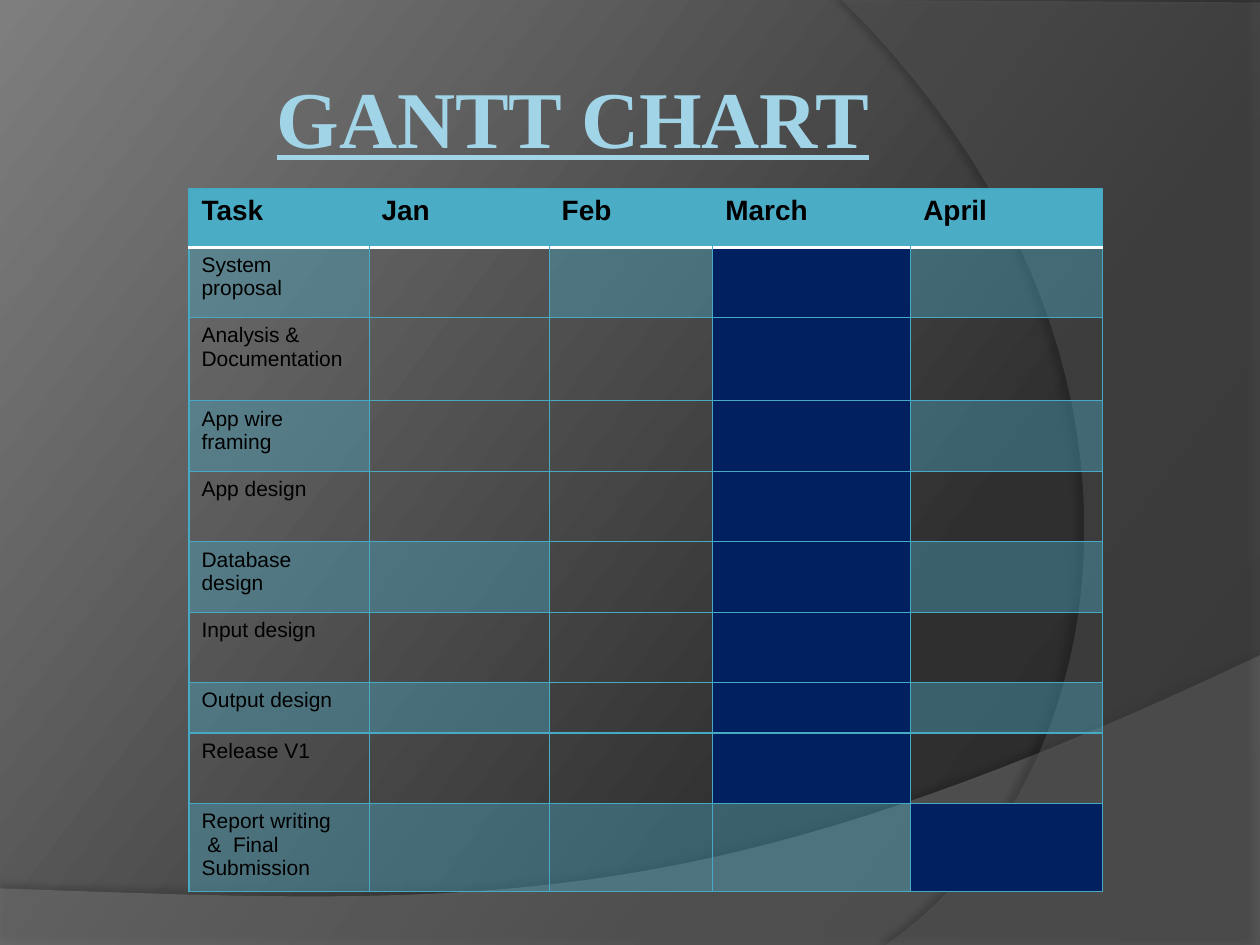
import dataclasses
import typing

import lxml.etree
import pptx
import pptx.dml.color
import pptx.enum.text
import pptx.oxml
import pptx.oxml.ns
import pptx.util

Cm, Pt = pptx.util.Cm, pptx.util.Pt
qn = pptx.oxml.ns.qn
Point = tuple[float, float]


@dataclasses.dataclass(frozen=True)
class Theme:
    accent: str = "4BACC6"
    grid: str = "46AAC5"
    bar: str = "002060"
    ink: str = "000000"
    rule: str = "FFFFFF"
    title_line: str = "5DD4FF"
    backdrop: tuple = ((0, "282828"), (30, "2F2F2F"), (100, "7E7E7E"))
    title_fill: tuple = ((0, "A1D4E7"), (9, "A1D4E7"), (53, "58808D"),
                         (90, "A1D4E7"), (100, "A1D4E7"))
    tint_alpha: int = 40
    title_size: float = 46
    head_size: float = 16
    body_size: float = 12
    title_font: str = "Times New Roman"
    body_font: str = "Arial"


@dataclasses.dataclass(frozen=True)
class Swoosh:
    """Background outline: straight corners, then one Bezier curve back to the start."""
    corners: tuple[Point, ...]
    curve: tuple[Point, Point, Point]
    color: str
    alpha: int
    shadow_alpha: int
    shadow_dist: float
    shadow_dir: int


@dataclasses.dataclass(frozen=True)
class Task:
    name: str
    bar: str = "March"
    clear: tuple[str, ...] = ()
    height: float = 1.42


THEME = Theme()
HEADS = ("Task", "Jan", "Feb", "March", "April")
COL_WIDTHS = (3.63, 3.63, 3.3, 3.99, 3.86)
HEAD_HEIGHT = 1.17
TASKS = (
    Task("System proposal", clear=("Jan",)),
    Task("Analysis & Documentation", height=1.68),
    Task("App wire framing", clear=("Jan", "Feb")),
    Task("App design"),
    Task("Database design", clear=("Feb",)),
    Task("Input design"),
    Task("Output design", clear=("Feb",), height=0.97),
    Task("Release V1"),
    Task("Report writing\n &  Final Submission", bar="April", height=1.68),
)
SWOOSHES = (
    Swoosh(((0, 17.91), (0, 19.08), (25.4, 19.08), (25.4, 13.21)),
           ((14.2, 18.52), (9.93, 18.26), (0, 17.91)), "7F7F7F", 45, 35, 3.5, 270),
    Swoosh(((25.4, 0.05), (25.4, 19.05), (17.86, 19.05)),
           ((22.63, 15.72), (24.05, 6.98), (16.97, 0)), "5E5E5E", 40, 45, 4, 180),
)


def rgb(color: str) -> pptx.dml.color.RGBColor:
    return pptx.dml.color.RGBColor.from_string(color)


def add_color(parent, color: str, alpha: int = 100) -> None:
    clr = lxml.etree.SubElement(parent, qn("a:srgbClr"), val=color)
    if alpha < 100:
        lxml.etree.SubElement(clr, qn("a:alpha"), val=str(alpha * 1000))


def set_solid(fill, owner, color: str, alpha: int = 100) -> None:
    fill.solid()
    solid = owner.find(qn("a:solidFill"))
    solid.clear()
    add_color(solid, color, alpha)


def set_gradient(fill, owner, stops: tuple, angle: float) -> None:
    """Fill with any number of stops; the angle runs clockwise."""
    fill.gradient()
    fill.gradient_angle = (360 - angle) % 360
    gs_list = owner.find(".//" + qn("a:gsLst"))
    gs_list.clear()
    for pos, color in stops:
        add_color(lxml.etree.SubElement(gs_list, qn("a:gs"), pos=str(pos * 1000)), color)


def make_line(tag: str, color: typing.Optional[str], width: float):
    ln = pptx.oxml.parse_xml(f'<{tag} xmlns:a="{pptx.oxml.ns.nsdecls("a").split(chr(34))[1]}"/>')
    ln.set("w", str(int(Pt(width))))
    if color:
        add_color(lxml.etree.SubElement(ln, qn("a:solidFill")), color)
    else:
        lxml.etree.SubElement(ln, qn("a:noFill"))
    return ln


def write(tf, text: str, *, size: float, font: str, color: typing.Optional[str] = None,
          bold: bool = False, underline: bool = False, align=None) -> list:
    """Put one paragraph per line of text and return the runs."""
    runs = []
    for i, line in enumerate(text.split("\n")):
        p = tf.add_paragraph() if i else tf.paragraphs[0]
        p.alignment = align
        r = p.add_run()
        r.text = line
        r.font.size, r.font.name = Pt(size), font
        r.font.bold, r.font.underline = bold, underline
        if color:
            r.font.color.rgb = rgb(color)
        runs.append(r)
    return runs


def bezier(p0: Point, p1: Point, p2: Point, p3: Point, steps: int = 40) -> list[Point]:
    points = []
    for i in range(1, steps + 1):
        t = i / steps
        weights = ((1 - t) ** 3, 3 * t * (1 - t) ** 2, 3 * t * t * (1 - t), t ** 3)
        points.append(tuple(sum(w * p[axis] for w, p in zip(weights, (p0, p1, p2, p3)))
                            for axis in (0, 1)))
    return points


def draw_swoosh(s, sw: Swoosh) -> None:
    points = [*sw.corners, *bezier(sw.corners[-1], *sw.curve)]
    points = [(Cm(x), Cm(y)) for x, y in points]
    builder = s.shapes.build_freeform(*points[0])
    builder.add_line_segments(points[1:], close=True)
    sp = builder.convert_to_shape()
    sp_pr = sp._element.spPr
    set_solid(sp.fill, sp_pr, sw.color, sw.alpha)
    sp.line.fill.background()
    sp.shadow.inherit = False
    shadow = lxml.etree.SubElement(
        sp_pr.find(qn("a:effectLst")), qn("a:outerShdw"), blurRad=str(int(Pt(4))),
        dist=str(int(Pt(sw.shadow_dist))), dir=str(sw.shadow_dir * 60000))
    add_color(shadow, "000000", sw.shadow_alpha)


def draw_title(s, text: str) -> None:
    sp = s.shapes.add_textbox(Cm(2.54), Cm(1.07), Cm(18.01), Cm(6.4))
    tf = sp.text_frame
    tf.word_wrap = True
    tf.margin_left = tf.margin_right = tf.margin_bottom = Cm(0.13)
    tf.margin_top = Cm(0.3)
    r, = write(tf, text, size=THEME.title_size, font=THEME.title_font, bold=True,
               underline=True, align=pptx.enum.text.PP_ALIGN.CENTER)
    set_gradient(r.font.fill, r._r, THEME.title_fill, 90)
    r._r.rPr.insert(0, make_line("a:ln", THEME.title_line, 0.39))


def set_borders(cell, row: int, col: int) -> None:
    head = row == 0
    rule, grid = (THEME.rule, 2), (THEME.grid, 0.75)
    sides = {
        "L": grid if not head or col == 0 else (None, 0.75),
        "R": grid if not head or col == len(HEADS) - 1 else (None, 0.75),
        "T": rule if row == 1 else grid,
        "B": rule if head else grid,
    }
    tc_pr = cell._tc.get_or_add_tcPr()
    for i, (side, (color, width)) in enumerate(sides.items()):
        tc_pr.insert(i, make_line(f"a:ln{side}", color, width))


def draw_gantt(s) -> None:
    heights = (HEAD_HEIGHT, *(task.height for task in TASKS))
    table = s.shapes.add_table(len(heights), len(HEADS), Cm(3.81), Cm(3.81),
                               Cm(sum(COL_WIDTHS)), Cm(sum(heights))).table
    table.first_row = table.horz_banding = False
    for column, width in zip(table.columns, COL_WIDTHS):
        column.width = Cm(width)
    for row, height in zip(table.rows, heights):
        row.height = Cm(height)
    for col, head in enumerate(HEADS):
        write(table.cell(0, col).text_frame, head, size=THEME.head_size,
              font=THEME.body_font, color=THEME.ink, bold=True)
        for row in range(len(heights)):
            cell = table.cell(row, col)
            tc_pr = cell._tc.get_or_add_tcPr()
            task = TASKS[row - 1] if row else None
            if task is None:
                set_solid(cell.fill, tc_pr, THEME.accent)
            elif head == task.bar:
                set_solid(cell.fill, tc_pr, THEME.bar)
            elif row % 2 and head not in task.clear:
                set_solid(cell.fill, tc_pr, THEME.accent, THEME.tint_alpha)
            else:
                cell.fill.background()
            set_borders(cell, row, col)
    for row, task in enumerate(TASKS, 1):
        write(table.cell(row, 0).text_frame, task.name, size=THEME.body_size,
              font=THEME.body_font, color=THEME.ink)


def main() -> None:
    prs = pptx.Presentation()
    prs.slide_width, prs.slide_height = Cm(25.4), Cm(19.05)
    s = prs.slides.add_slide(prs.slide_layouts[6])
    set_gradient(s.background.fill, s._element, THEME.backdrop, 217)
    for swoosh in SWOOSHES:
        draw_swoosh(s, swoosh)
    draw_title(s, "GANTT CHART")
    draw_gantt(s)
    prs.save("out.pptx")


if __name__ == "__main__":
    main()
